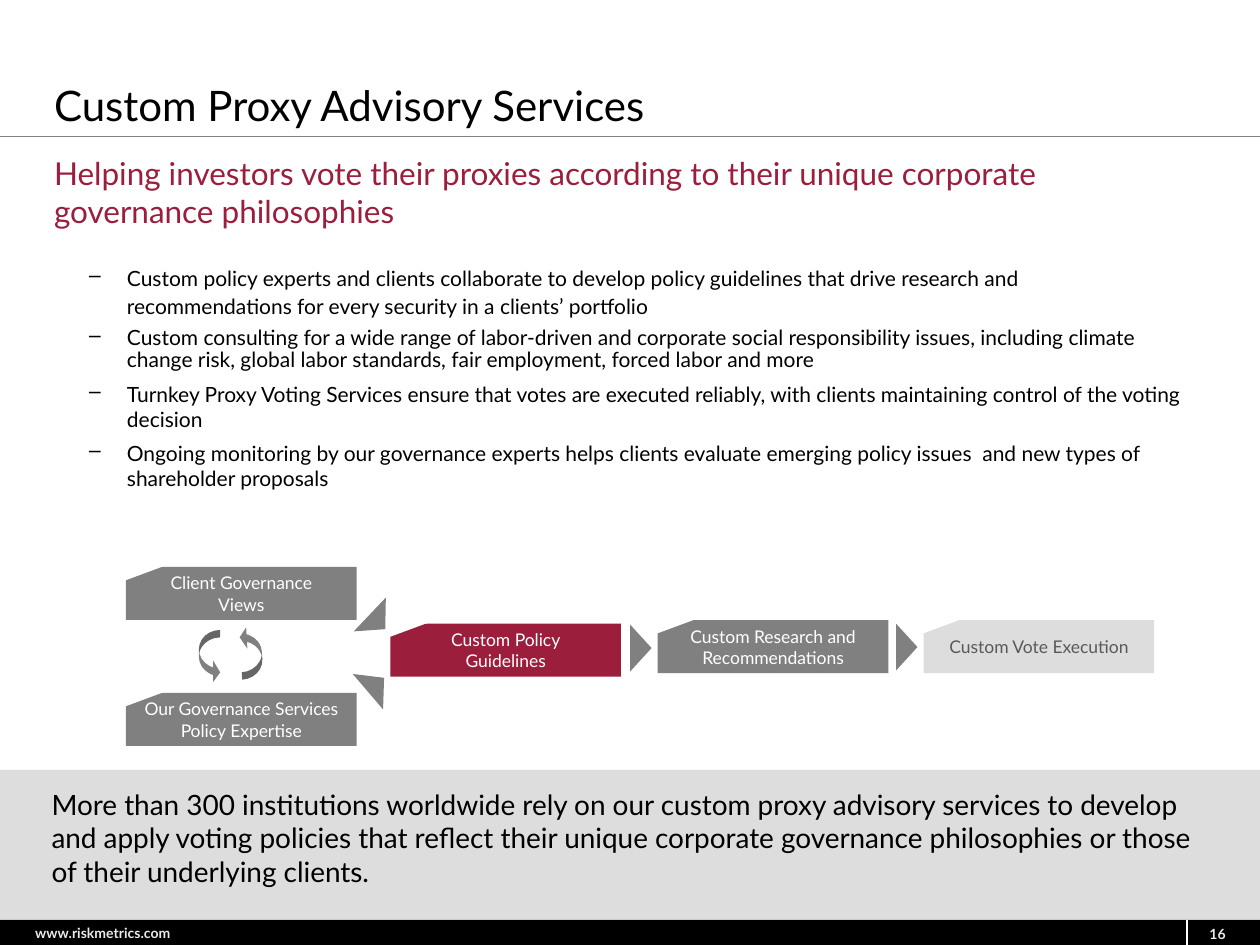
from lxml import etree
from pptx import Presentation
from pptx import util as u
from pptx.dml.color import RGBColor
from pptx.enum import shapes, text
from pptx.oxml import ns

FONT = "Lato"
BLACK, WHITE, GRAY = "000000", "FFFFFF", "808080"
PALE, CRIMSON, FOOTER = "DDDDDD", "9B1E3C", "EAEBEB"
LEFT, CENTER, RIGHT = text.PP_ALIGN.LEFT, text.PP_ALIGN.CENTER, text.PP_ALIGN.RIGHT
TOP, MIDDLE, BOTTOM = text.MSO_ANCHOR.TOP, text.MSO_ANCHOR.MIDDLE, text.MSO_ANCHOR.BOTTOM
SHAPE = shapes.MSO_SHAPE
INSETS = (0.25, 0.13, 0.25, 0.13)

BULLETS = [
    ("Custom policy experts and clients collaborate to develop policy guidelines that drive "
     "research and recommendations for every security in a clients’ portfolio", 1.1),
    ("Custom consulting for a wide range of labor-driven and corporate social responsibility "
     "issues, including climate change risk, global labor standards, fair employment, "
     "forced labor and more", 0.9),
    ("Turnkey Proxy Voting Services ensure that votes are executed reliably, with clients "
     "maintaining control of the voting decision", 1.0),
    ("Ongoing monitoring by our governance experts helps clients evaluate emerging policy "
     "issues  and new types of shareholder proposals", 1.0),
]
STEPS = [
    (2.54, 11.43, "Client Governance\vViews", GRAY, WHITE),
    (2.54, 13.97, "Our Governance Services\vPolicy Expertise", GRAY, WHITE),
    (7.87, 12.57, "Custom Policy\vGuidelines", CRIMSON, WHITE),
    (13.26, 12.5, "Custom Research and\vRecommendations", GRAY, WHITE),
    (18.62, 12.5, "Custom Vote Execution", PALE, "5A5955"),
]
POINTERS = [(7.14, 12.32, 133.5), (7.11, 13.59, 49.5), (12.45, 12.85, 90), (17.81, 12.83, 90)]
CYCLE_ARROWS = [(4.01, 12.7, 0), (4.85, 12.62, 176.6)]


def color(value):
    return RGBColor.from_string(value)


def place(box, left, top, width, height):
    box.left, box.top, box.width, box.height = map(u.Cm, (left, top, width, height))


def style_font(para, size, ink, bold=False):
    for span in para.runs:
        span.font.name = FONT
        span.font.size = u.Pt(size)
        span.font.bold = bold
        span.font.color.rgb = color(ink)


def set_frame(box, anchor, insets=INSETS, wrap=True):
    frame = box.text_frame
    frame.word_wrap = wrap
    frame.auto_size = text.MSO_AUTO_SIZE.NONE
    frame.vertical_anchor = anchor
    (frame.margin_left, frame.margin_top,
     frame.margin_right, frame.margin_bottom) = map(u.Cm, insets)
    return frame


def write(box, words, size, ink, align=LEFT, anchor=MIDDLE, insets=INSETS, wrap=True, bold=False):
    frame = set_frame(box, anchor, insets, wrap)
    frame.text = words
    para = frame.paragraphs[0]
    para.alignment = align
    style_font(para, size, ink, bold)


def add_block(page, kind, left, top, width, height, fill, rotation=0):
    block = page.shapes.add_shape(kind, *map(u.Cm, (left, top, width, height)))
    block.shadow.inherit = False
    block.fill.solid()
    block.fill.fore_color.rgb = color(fill)
    block.line.fill.background()
    block.rotation = rotation
    return block


def add_rule(page, x1, y1, x2, y2, ink, weight):
    rule = page.shapes.add_connector(
        shapes.MSO_CONNECTOR.STRAIGHT, *map(u.Cm, (x1, y1, x2, y2)))
    rule.line.color.rgb = color(ink)
    rule.line.width = u.Pt(weight)
    etree.SubElement(rule._element.spPr, ns.qn("a:effectLst"))


def add_label(page, left, top, width, height, words, align):
    label = page.shapes.add_textbox(*map(u.Cm, (left, top, width, height)))
    write(label, words, 8, FOOTER, align, insets=(0, 0, 0, 0), bold=True)


def add_bullets(page):
    box = page.shapes.add_textbox(u.Cm(0.58), u.Cm(5.17), u.Cm(23.55), u.Cm(5.83))
    frame = set_frame(box, TOP)
    for index, (words, spacing) in enumerate(BULLETS):
        para = frame.add_paragraph() if index else frame.paragraphs[0]
        para.text = words
        para.line_spacing = spacing
        para.space_before = u.Pt(2.5 if index else 0)
        para.space_after = u.Pt(2.5)
        props = para._p.get_or_add_pPr()
        props.set("marL", str(u.Cm(1.73)))
        props.set("indent", str(u.Cm(-0.76)))
        etree.SubElement(props, ns.qn("a:buChar")).set("char", "–")
        style_font(para, 12, BLACK)


def add_step(page, left, top, words, fill, ink):
    step = add_block(page, SHAPE.RECTANGLE, left, top, 4.65, 1.07, fill)
    write(step, words, 10, ink, CENTER, wrap=False)
    add_block(page, SHAPE.RIGHT_TRIANGLE, left + 0.23, top - 0.28, 0.3, 0.81, WHITE, 90)


def add_cycle_arrow(page, left, top, rotation):
    arrow = add_block(page, SHAPE.CURVED_RIGHT_ARROW, left, top, 0.43, 1.07, GRAY, rotation)
    for index, value in enumerate((0.35, 1, 0.33)):
        arrow.adjustments[index] = value


def main():
    deck = Presentation()
    deck.slide_width, deck.slide_height = u.Cm(25.4), u.Cm(19.05)
    page = deck.slides.add_slide(deck.slide_layouts[5])

    title = page.shapes.title
    place(title, 0.84, 0, 20.12, 2.74)
    write(title, "Custom Proxy Advisory Services", 24, BLACK, anchor=BOTTOM)

    add_block(page, SHAPE.RECTANGLE, 0, 18.54, 25.4, 0.51, BLACK)
    add_rule(page, 0, 2.74, 25.4, 2.74, GRAY, 0.25)
    add_label(page, 0.71, 18.64, 3.73, 0.33, "www.riskmetrics.com", LEFT)
    add_label(page, 23.83, 18.62, 0.88, 0.43, "16", RIGHT)
    add_rule(page, 23.93, 18.54, 23.93, 19.05, WHITE, 1.5)

    add_bullets(page)
    for step in STEPS:
        add_step(page, *step)
    for left, top, rotation in POINTERS:
        add_block(page, SHAPE.ISOSCELES_TRIANGLE, left, top, 0.94, 0.43, GRAY, rotation)
    for arrow in CYCLE_ARROWS:
        add_cycle_arrow(page, *arrow)

    heading = add_block(page, SHAPE.RECTANGLE, 0.84, 2.97, 21.59, 1.78, WHITE)
    write(heading, "Helping investors vote their proxies according to their unique corporate "
          "governance philosophies", 18, CRIMSON, anchor=TOP)

    summary = add_block(page, SHAPE.RECTANGLE, 0, 15.52, 25.4, 3.02, PALE)
    write(summary, "More than 300 institutions worldwide rely on our custom proxy advisory "
          "services to develop and apply voting policies that reflect their unique corporate "
          "governance philosophies or those of their underlying clients.",
          16, BLACK, anchor=BOTTOM, insets=(1.04, 0.38, 0.76, 0.64))

    deck.save("out.pptx")


if __name__ == "__main__":
    main()
